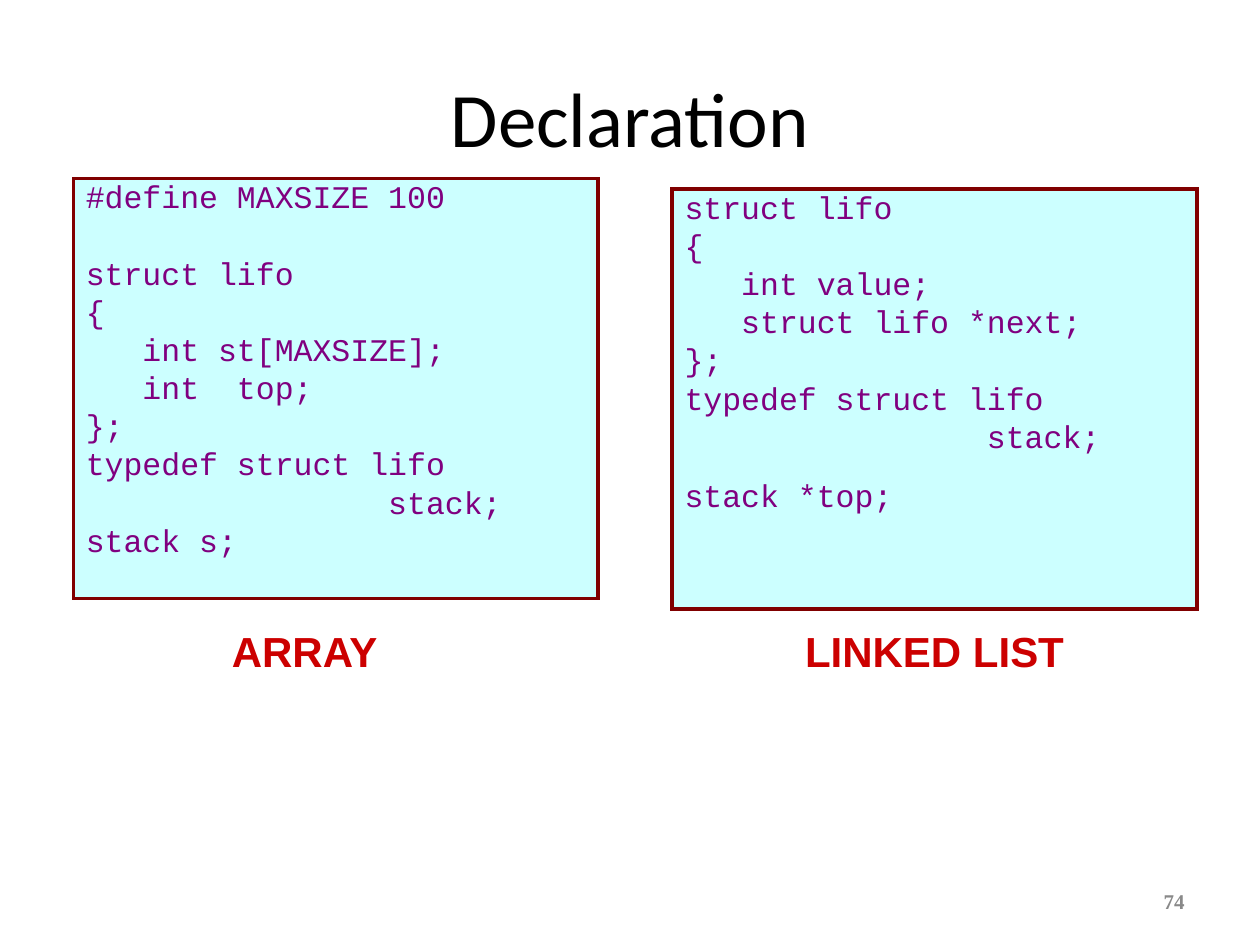
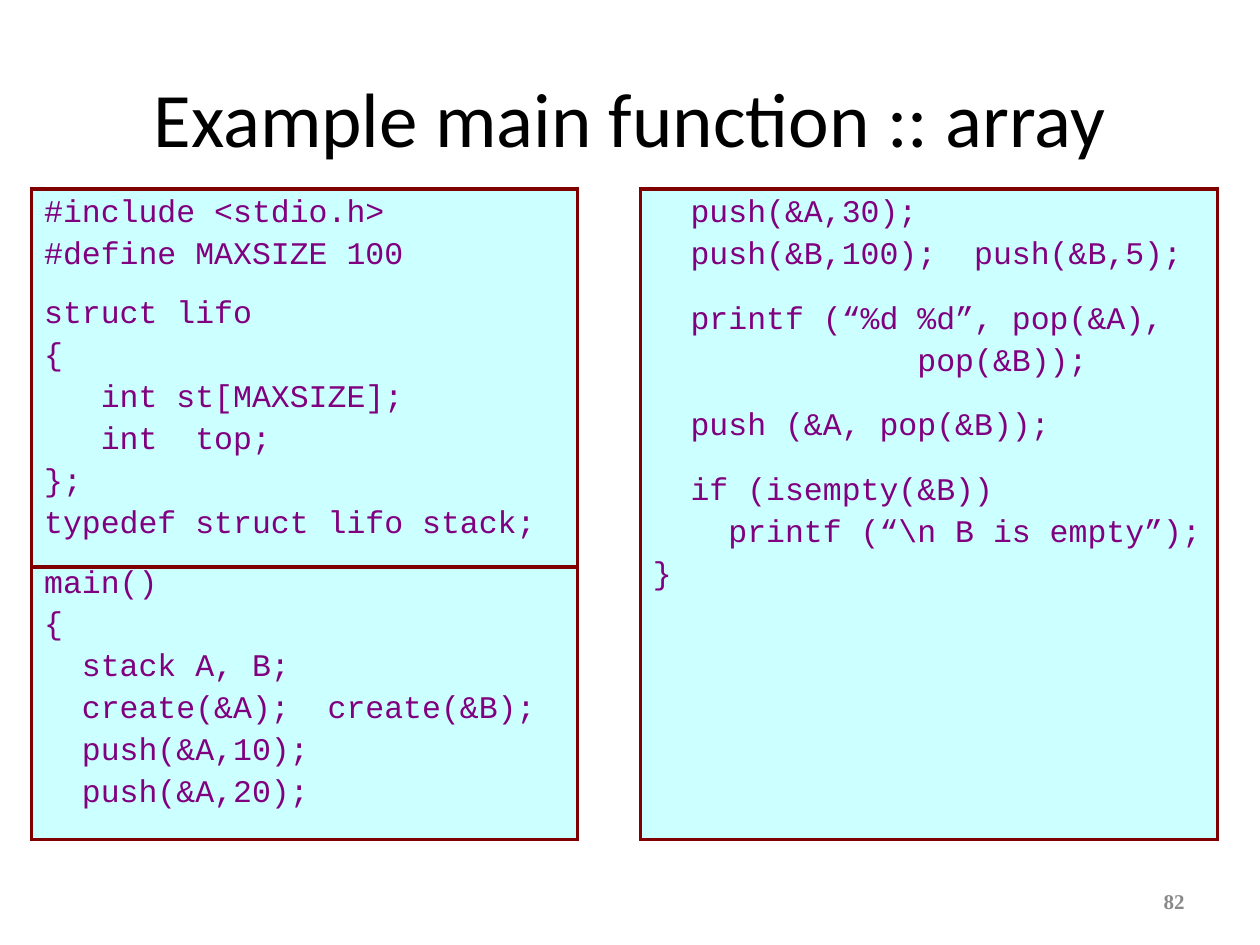
from lxml.etree import SubElement
from pptx import Presentation
from pptx.dml.color import RGBColor
from pptx.enum.shapes import MSO_CONNECTOR as Connector, MSO_SHAPE as Preset
from pptx.enum.text import MSO_ANCHOR as Anchor, PP_ALIGN as Align
from pptx.oxml.ns import qn
from pptx.util import Cm, Pt

BLACK = RGBColor(0x00, 0x00, 0x00)
CYAN = RGBColor(0xCC, 0xFF, 0xFF)
MAROON = RGBColor(0x80, 0x00, 0x00)
PURPLE = RGBColor(0x80, 0x00, 0x80)
RED = RGBColor(0xCC, 0x00, 0x00)
GREY = RGBColor(0x89, 0x89, 0x89)

TITLE_AREA = (1.27, 0.76, 22.86, 3.18)
NUMBER_AREA = (18.2, 17.65, 5.93, 1.02)
TITLE_ONLY = 5
LINE_GAP = 4.5

DECLARATION = {
    "title": "Declaration",
    "number": "74",
    "line_spacing": 0.8,
    "panels": [
        {"area": (1.48, 3.6, 10.58, 8.47), "section_gap": 26.3, "sections": [
            ["#define MAXSIZE 100"],
            ["struct lifo", "{", "   int st[MAXSIZE];", "   int  top;", "};",
             "typedef struct lifo", "                stack;", "stack s;"],
        ]},
        {"area": (13.55, 3.81, 10.58, 8.47), "section_gap": 16.6, "sections": [
            ["struct lifo", "{", "   int value;", "   struct lifo *next;", "};",
             "typedef struct lifo", "                stack;"],
            ["stack *top;"],
        ]},
    ],
    "captions": [
        ("ARRAY", (3.81, 12.48, 4.66, 1.27)),
        ("LINKED LIST", (14.82, 12.48, 8.04, 1.27)),
    ],
    "dividers": [],
}

MAIN_FUNCTION = {
    "title": "Example main function :: array",
    "number": "82",
    "line_spacing": 0.9,
    "panels": [
        {"area": (0.64, 3.81, 11.0, 13.12), "section_gap": 14.6, "sections": [
            ["#include <stdio.h>", "#define MAXSIZE 100"],
            ["struct lifo", "{", "   int st[MAXSIZE];", "   int  top;", "};",
             "typedef struct lifo stack;"],
            ["main()", "{", "  stack A, B;", "  create(&A);  create(&B);",
             "  push(&A,10);", "  push(&A,20);"],
        ]},
        {"area": (12.91, 3.81, 11.64, 13.12), "section_gap": 17.6, "sections": [
            ["  push(&A,30);", "  push(&B,100);  push(&B,5);"],
            ["  printf (“%d %d”, pop(&A),", "              pop(&B));"],
            ["  push (&A, pop(&B));"],
            ["  if (isempty(&B))", r"    printf (“\n B is empty”);", "}"],
        ]},
    ],
    "captions": [],
    "dividers": [(0.64, 11.43, 11.64, 11.43)],
}


def lengths(values):
    return [Cm(value) for value in values]


def add_text(paragraph, words, font_name, size, color, bold=False):
    run = paragraph.add_run()
    run.text = words
    run.font.name = font_name
    run.font.size = Pt(size)
    run.font.bold = bold
    run.font.color.rgb = color


def add_title(slide, words):
    title = slide.shapes.title
    title.left, title.top, title.width, title.height = lengths(TITLE_AREA)
    title.text_frame.vertical_anchor = Anchor.MIDDLE
    heading = title.text_frame.paragraphs[0]
    heading.alignment = Align.CENTER
    add_text(heading, words, "Calibri", 44, BLACK)


def add_label(slide, words, area, font_name, size, color, align, anchor):
    frame = slide.shapes.add_textbox(*lengths(area)).text_frame
    frame.word_wrap = True
    frame.vertical_anchor = anchor
    label = frame.paragraphs[0]
    label.alignment = align
    add_text(label, words, font_name, size, color, bold=True)


def add_code_panel(slide, area, section_gap, sections, line_spacing):
    panel = slide.shapes.add_shape(Preset.RECTANGLE, *lengths(area))
    panel.shadow.inherit = False
    panel.fill.solid()
    panel.fill.fore_color.rgb = CYAN
    panel.line.color.rgb = MAROON
    panel.line.width = Pt(2)
    border = panel._element.spPr.find(qn("a:ln"))
    SubElement(border, qn("a:miter"), lim="800000")
    frame = panel.text_frame
    frame.word_wrap = True
    frame.vertical_anchor = Anchor.TOP
    code = [(words, LINE_GAP if row else section_gap)
            for section in sections for row, words in enumerate(section)]
    for index, (words, gap) in enumerate(code):
        code_line = frame.add_paragraph() if index else frame.paragraphs[0]
        code_line.alignment = Align.LEFT
        code_line.line_spacing = line_spacing
        code_line.space_before = Pt(gap if index else 0)
        add_text(code_line, words, "Courier New", 18, PURPLE)


def add_divider(slide, ends):
    divider = slide.shapes.add_connector(Connector.STRAIGHT, *lengths(ends))
    divider.line.color.rgb = MAROON
    divider.line.width = Pt(2.5)
    SubElement(divider._element.spPr, qn("a:effectLst"))


def build_slide(deck, content):
    slide = deck.slides.add_slide(deck.slide_layouts[TITLE_ONLY])
    add_title(slide, content["title"])
    for panel in content["panels"]:
        add_code_panel(slide, **panel, line_spacing=content["line_spacing"])
    add_label(slide, content["number"], NUMBER_AREA, "Times New Roman", 12, GREY,
              Align.RIGHT, Anchor.MIDDLE)
    for words, area in content["captions"]:
        add_label(slide, words, area, "Arial", 24, RED, Align.CENTER, Anchor.TOP)
    for ends in content["dividers"]:
        add_divider(slide, ends)


def main():
    deck = Presentation()
    deck.slide_width, deck.slide_height = Cm(25.4), Cm(19.05)
    for content in (DECLARATION, MAIN_FUNCTION):
        build_slide(deck, content)
    deck.save("out.pptx")


if __name__ == "__main__":
    main()
